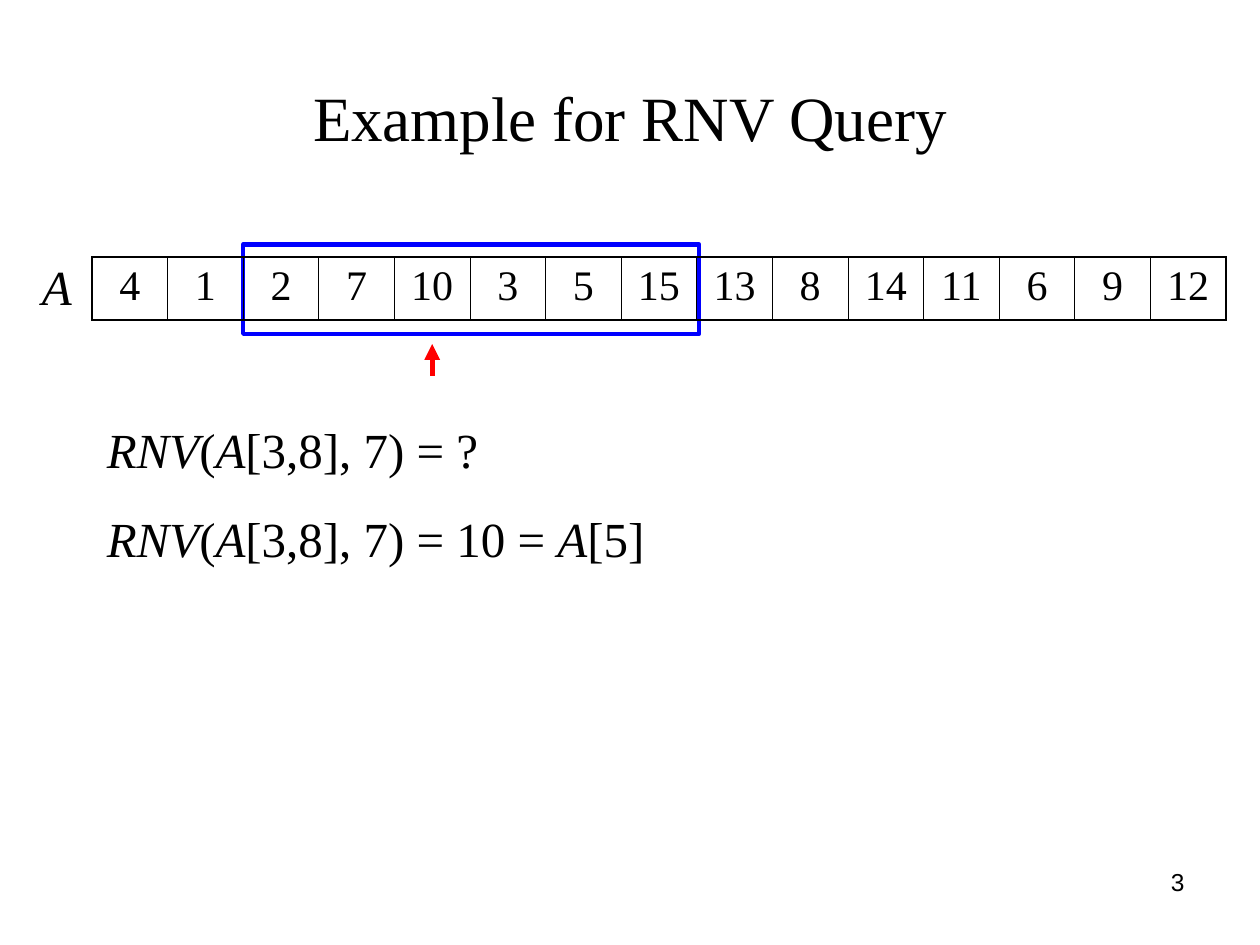
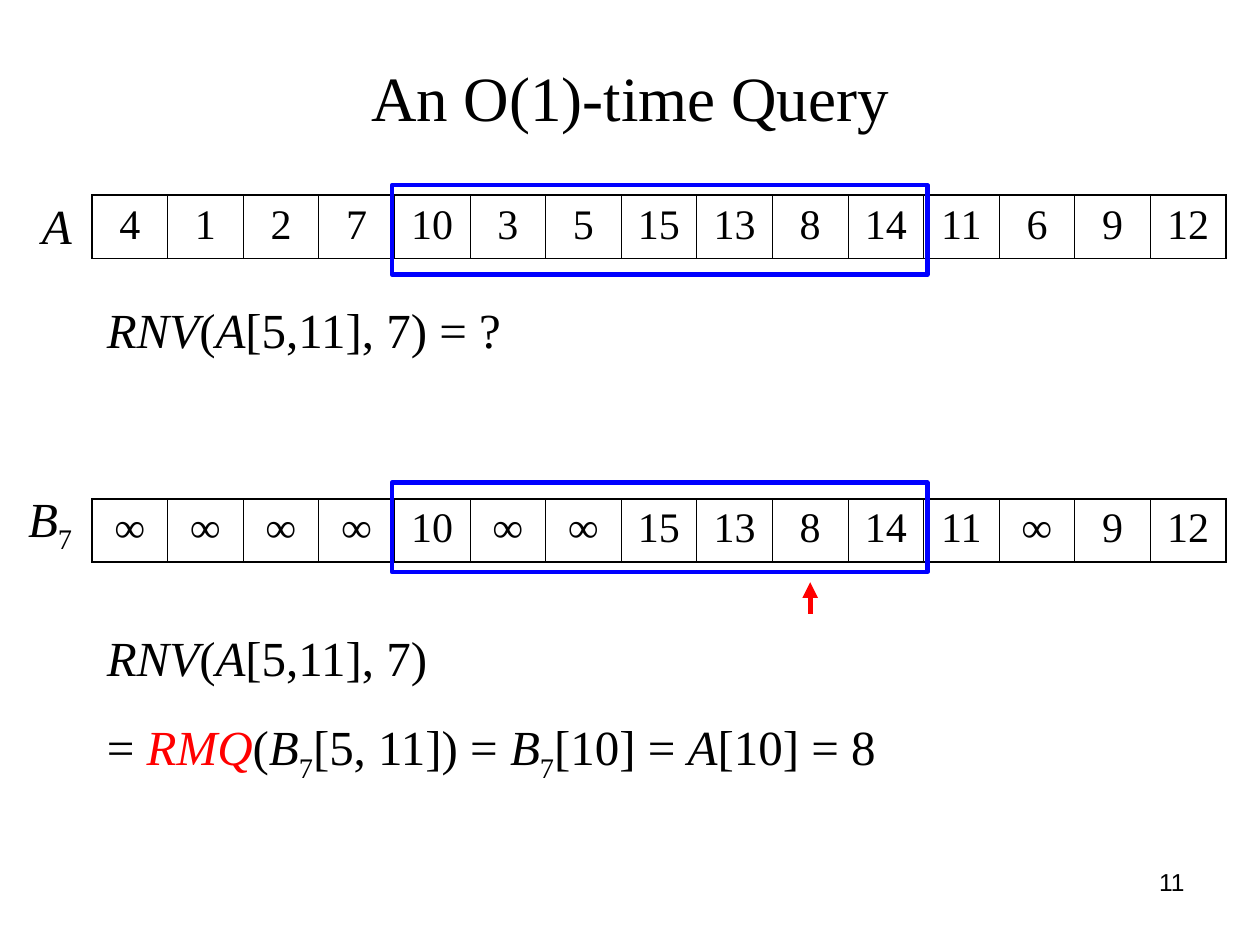
from lxml.etree import SubElement
from pptx import Presentation
from pptx.dml.color import RGBColor
from pptx.enum.shapes import MSO_CONNECTOR, MSO_SHAPE
from pptx.enum.text import MSO_ANCHOR, PP_ALIGN
from pptx.oxml.ns import qn
from pptx.util import Pt

BLACK = RGBColor(0, 0, 0)
BLUE = RGBColor(0, 0, 255)
RED = RGBColor(255, 0, 0)
SERIF, SANS = "Times New Roman", "Arial"

# Geometry shared by all arrays, in points
ARRAY_LEFT, CELL_WIDTH, ARRAY_HEIGHT = 52.56, 43.2, 36
OUTLINE_HEIGHT = 51.12
INNER_LINE, OUTER_LINE = 0.45, 1.08

VALUES_A = [4, 1, 2, 7, 10, 3, 5, 15, 13, 8, 14, 11, 6, 9, 12]
PIVOT = 7
VALUES_B = [value if value > PIVOT else "∞" for value in VALUES_A]

# Runs are (text, style); styles are "", "italic", "sub" and "red"
A = ("A", "italic")
B7 = [("B", "italic"), ("7", "sub")]


def rnv(rest):
    return [("RNV", "italic"), ("(", ""), A, (rest, "")]


def write(para, runs, size, font=SERIF, bold=False):
    for text, style in runs:
        span = para.add_run()
        span.text = text
        span.font.name = font
        span.font.size = Pt(size)
        span.font.bold = bold
        span.font.italic = style in ("italic", "red")
        span.font.color.rgb = RED if style == "red" else BLACK
        if style == "sub":
            span._r.get_or_add_rPr().set("baseline", "-25000")


def add_text(page, left, top, width, height, lines, size, font=SERIF,
             align=PP_ALIGN.LEFT, anchor=MSO_ANCHOR.TOP, wrap=True):
    box = page.shapes.add_textbox(Pt(left), Pt(top), Pt(width), Pt(height))
    frame = box.text_frame
    frame.word_wrap = wrap
    frame.vertical_anchor = anchor
    for index, runs in enumerate(lines):
        para = frame.add_paragraph() if index else frame.paragraphs[0]
        para.alignment = align
        if index:
            para.space_before = Pt(17.5)
        write(para, runs, size, font)


def add_page(deck, title, title_top, number):
    """Blank page with the shared title and page number."""
    page = deck.slides.add_slide(deck.slide_layouts[6])
    add_text(page, 36, title_top, 648, 90, [[(title, "")]], 36,
             align=PP_ALIGN.CENTER, anchor=MSO_ANCHOR.MIDDLE)
    add_text(page, 516.24, 491.76, 167.76, 37.44, [[(str(number), "")]], 14,
             font=SANS, align=PP_ALIGN.RIGHT)
    return page


def add_formulas(page, top, height, lines):
    add_text(page, 54, top, 640.8, height, lines, 28)


def set_borders(cell, widths):
    properties = cell._tc.get_or_add_tcPr()
    for side, width in widths.items():
        line = SubElement(properties, qn(f"a:ln{side}"), w=str(Pt(width)))
        fill = SubElement(line, qn("a:solidFill"))
        SubElement(fill, qn("a:srgbClr"), val=str(BLACK))


def add_array(page, top, values):
    """One-row table of array entries."""
    count = len(values)
    table = page.shapes.add_table(
        1, count, Pt(ARRAY_LEFT), Pt(top),
        Pt(CELL_WIDTH * count), Pt(ARRAY_HEIGHT)).table
    table.first_row = table.horz_banding = False
    for index, value in enumerate(values):
        cell = table.cell(0, index)
        set_borders(cell, {
            "L": INNER_LINE if index else OUTER_LINE,
            "R": INNER_LINE if index < count - 1 else OUTER_LINE,
            "T": OUTER_LINE, "B": OUTER_LINE})
        cell.fill.background()
        para = cell.text_frame.paragraphs[0]
        para.alignment = PP_ALIGN.CENTER
        write(para, [(str(value), "")], 24, bold=value == "∞")


def add_label(page, top, width, height, runs):
    """Array name, just left of the array."""
    add_text(page, ARRAY_LEFT - 4 - width, top, width, height, [runs], 28,
             wrap=False)


def add_outline(page, top, first, last, left_pad, right_pad):
    """Frame around entries first to last; gives its bottom."""
    left = ARRAY_LEFT + (first - 1) * CELL_WIDTH - left_pad
    right = ARRAY_LEFT + last * CELL_WIDTH + right_pad
    box = page.shapes.add_shape(MSO_SHAPE.RECTANGLE, Pt(left), Pt(top),
                                Pt(right - left), Pt(OUTLINE_HEIGHT))
    box.shadow.inherit = False
    box.fill.background()
    box.line.color.rgb = BLUE
    box.line.width = Pt(2.5)
    return top + OUTLINE_HEIGHT


def add_pointer(page, outline_bottom, entry):
    """Arrow up to the answer, below the outline."""
    x = Pt(ARRAY_LEFT + (entry - 0.5) * CELL_WIDTH)
    tip = outline_bottom + 5.8
    arrow = page.shapes.add_connector(MSO_CONNECTOR.STRAIGHT,
                                      x, Pt(tip + 18), x, Pt(tip))
    arrow.line.color.rgb = RED
    arrow.line.width = Pt(3)
    SubElement(arrow.line._get_or_add_ln(), qn("a:tailEnd"), type="triangle")
    SubElement(arrow._element.spPr, qn("a:effectLst"))


def build_example(deck):
    page = add_page(deck, "Example for RNV Query", 21.6, 3)
    top = 146.88
    bottom = add_outline(page, top - 7.2, 3, 8, 0, 1.4)
    add_array(page, top, VALUES_A)
    add_label(page, top - 3.6, 31.68, 41.04, [A])
    add_formulas(page, 236.16, 143.28, [
        rnv("[3,8], 7) = ?"),
        rnv("[3,8], 7) = 10 = ") + [A, ("[5]", "")]])
    add_pointer(page, bottom, 5)


def build_query(deck):
    page = add_page(deck, "An O(1)-time Query", 10.08, 11)

    # Question on array A
    top = 111.6
    add_array(page, top, VALUES_A)
    add_label(page, top - 3.6, 31.68, 41.04, [A])
    add_outline(page, top - 5.76, 5, 11, 1.4, 2.2)
    add_formulas(page, 167.76, 41.04, [rnv("[5,11], 7) = ?")])

    # Answer from array B7
    top = 285.12
    add_array(page, top, VALUES_B)
    add_label(page, top - 9.36, 39.6, 45.36, B7)
    bottom = add_outline(page, top - 9.36, 5, 11, 1.4, 2.2)
    add_pointer(page, bottom, 10)
    add_formulas(page, 354.96, 96.48, [
        rnv("[5,11], 7)"),
        [("= ", ""), ("RMQ", "red"), ("(", ""), *B7, ("[5, 11]) = ", ""),
         *B7, ("[10] = ", ""), A, ("[10] = 8", "")]])


def main():
    deck = Presentation()
    deck.slide_width, deck.slide_height = Pt(720), Pt(540)
    build_example(deck)
    build_query(deck)
    deck.save("out.pptx")


if __name__ == "__main__":
    main()
